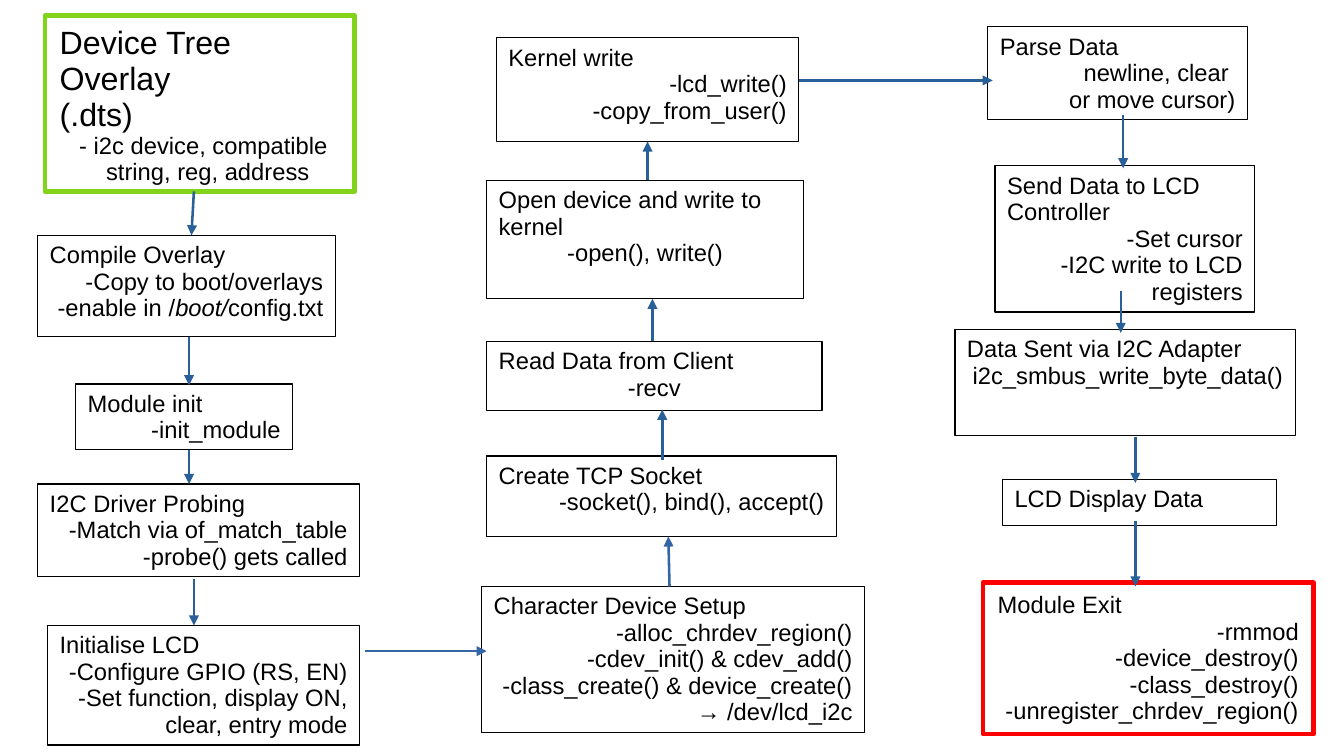
from lxml import etree
from pptx import Presentation
from pptx.dml.color import RGBColor
from pptx.enum.shapes import MSO_CONNECTOR, MSO_SHAPE
from pptx.enum.text import MSO_ANCHOR, PP_ALIGN
from pptx.oxml.ns import qn
from pptx.util import Pt

PX = 9144
RECT, STRAIGHT = MSO_SHAPE.RECTANGLE, MSO_CONNECTOR.STRAIGHT
TOP = MSO_ANCHOR.TOP
LEFT, CENTER, RIGHT = PP_ALIGN.LEFT, PP_ALIGN.CENTER, PP_ALIGN.RIGHT
BLACK, GREEN, RED, BLUE, LIGHT_BLUE = '000000', '81D41A', 'FF0000', '2A6099', '3465A4'
BODY_SIZE, TITLE_SIZE = 14, 19
HANG, HANG_INDENT = 38, -22

SETUP = [
    ((6, 0, 254, 144), ['Device Tree Overlay', '(.dts)'],
     ['- i2c device, compatible string, reg, address'],
     {'align': LEFT, 'color': GREEN, 'size': TITLE_SIZE, 'hang': True}),
    ((0, 180, 244, 83), ['Compile Overlay'],
     ['-Copy to boot/overlays',
      [('-enable in /', False), ('boot/', True), ('config.txt', False)]], {}),
    ((31, 302, 178, 54), ['Module init'], ['-init_module'], {}),
    ((0, 384, 264, 76), ['I2C Driver Probing'],
     ['-Match via of_match_table', '-probe() gets called'], {}),
    ((8, 500, 256, 98), ['Initialise LCD'],
     ['-Configure GPIO (RS, EN)', '-Set function, display ON, clear, entry mode'], {}),
]
SETUP_ARROWS = [
    (128, 144, 126, 180, BLUE), (124, 263, 124, 303, BLUE), (124, 356, 124, 384, BLUE),
    (128, 462, 128, 500, BLUE), (268, 521, 368, 521, LIGHT_BLUE),
]
DEVICE = [
    ((0, 450, 314, 120), ['Character Device Setup'],
     ['-alloc_chrdev_region()', '-cdev_init() & cdev_add()',
      '-class_create() & device_create() → /dev/lcd_i2c'], {}),
    ((4, 343, 287, 66), ['Create TCP Socket'], ['-socket(), bind(), accept()'], {}),
    ((4, 249, 275, 57), ['Read Data from Client'], ['-recv'], {'align': CENTER}),
    ((4, 117, 260, 97), ['Open device and write to kernel'], ['-open(), write()'],
     {'align': CENTER}),
    ((12, 0, 248, 85), ['Kernel write'], ['-lcd_write()', '-copy_from_user()'], {}),
]
DEVICE_ARROWS = [
    (154, 450, 153, 409, LIGHT_BLUE), (148, 346, 148, 305, BLUE), (140, 249, 140, 214, BLUE),
    (136, 117, 136, 85, BLUE), (260, 35, 419, 35, BLUE),
]
DISPLAY = [
    ((27, 0, 213, 76), ['Parse Data'], ['newline, clear ', 'or move cursor)'], {}),
    ((33, 114, 213, 120), ['Send Data to LCD Controller'],
     ['-Set cursor', '-I2C write to LCD registers'], {}),
    ((0, 248, 279, 87), ['Data Sent via I2C Adapter'], ['i2c_smbus_write_byte_data()'], {}),
    ((39, 371, 225, 38), ['LCD Display Data'], [], {}),
    ((23, 456, 271, 124), ['Module Exit'],
     ['-rmmod', '-device_destroy()', '-class_destroy()', '-unregister_chrdev_region()'],
     {'color': RED}),
]
DISPLAY_ARROWS = [
    (138, 72, 138, 116, BLUE), (136, 217, 136, 251, BLUE),
    (148, 336, 148, 374, BLUE), (148, 405, 148, 459, BLUE),
]


def rgb(value):
    return RGBColor.from_string(value)


def set_attrs(target, values):
    for name, value in values.items():
        setattr(target, name, value)


def add_line(tf, first, content, size, align, hang=False):
    p = tf.paragraphs[0] if first else tf.add_paragraph()
    set_attrs(p, {'alignment': align, 'line_spacing': 0.93})
    if hang:
        pPr = p._p.get_or_add_pPr()
        pPr.set('marL', str(HANG * PX))
        pPr.set('indent', str(HANG_INDENT * PX))
    parts = [(content, False)] if isinstance(content, str) else content
    for text, italic in parts:
        r = p.add_run()
        r.text = text
        set_attrs(r.font, {'name': 'Arial', 'size': Pt(size), 'italic': italic})
        r.font.color.rgb = rgb(BLACK)


def add_step(s, box, headings, details, align=RIGHT, color=BLACK, size=BODY_SIZE, hang=False):
    sp = s.shapes.add_shape(RECT, *(v * PX for v in box))
    sp.shadow.inherit = False
    sp.fill.background()
    sp.line.color.rgb = rgb(color)
    plain = color == BLACK
    sp.line.width = Pt(0.75 if plain else 2.83)
    side, top, bottom = (10, 6, 5) if plain else (12, 8, 7)
    tf = sp.text_frame
    set_attrs(tf, {'word_wrap': True, 'vertical_anchor': TOP,
                   'margin_left': side * PX, 'margin_right': side * PX,
                   'margin_top': top * PX, 'margin_bottom': bottom * PX})
    for i, heading in enumerate(headings):
        add_line(tf, i == 0, heading, size, LEFT)
    for detail in details:
        add_line(tf, False, detail, BODY_SIZE, align, hang)


def add_arrow(s, ends, color):
    cx = s.shapes.add_connector(STRAIGHT, *(v * PX for v in ends))
    cx.line.color.rgb = rgb(color)
    cx.line.width = Pt(1.5)
    etree.SubElement(cx.line._get_or_add_ln(), qn('a:tailEnd'), type='triangle')
    etree.SubElement(cx._element.spPr, qn('a:effectLst'))


def add_column(s, x, y, steps):
    for (dx, dy, w, h), headings, details, style in steps:
        add_step(s, (x + dx, y + dy, w, h), headings, details, **style)


def add_arrows(s, x, y, arrows):
    for x1, y1, x2, y2, color in arrows:
        add_arrow(s, (x + x1, y + y1, x + x2, y + y2), color)


def main():
    prs = Presentation()
    set_attrs(prs, {'slide_width': 1102 * PX, 'slide_height': 620 * PX})
    s = prs.slides.add_slide(prs.slide_layouts[6])
    columns = [(31, 13, SETUP, SETUP_ARROWS), (395, 31, DEVICE, DEVICE_ARROWS),
               (783, 22, DISPLAY, DISPLAY_ARROWS)]
    for x, y, steps, _ in columns:
        add_column(s, x, y, steps)
    for x, y, _, arrows in columns:
        add_arrows(s, x, y, arrows)
    prs.save("out.pptx")


if __name__ == "__main__":
    main()
